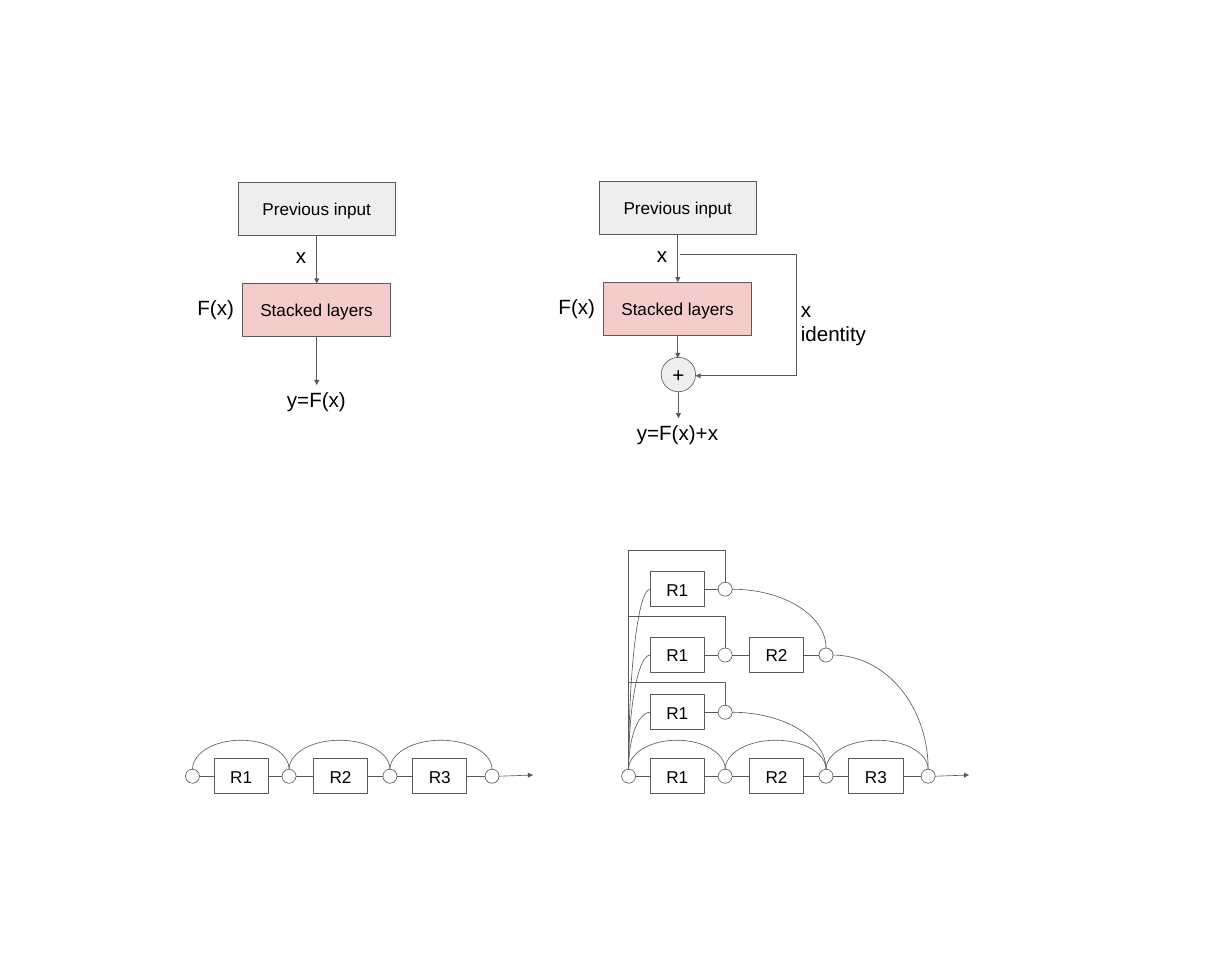
from lxml.etree import SubElement
from pptx import Presentation
from pptx.dml.color import RGBColor
from pptx.enum.shapes import MSO_CONNECTOR, MSO_SHAPE
from pptx.enum.text import MSO_ANCHOR, PP_ALIGN
from pptx.oxml.ns import qn
from pptx.util import Inches, Pt

BLACK = RGBColor(0x00, 0x00, 0x00)
WHITE = RGBColor(0xFF, 0xFF, 0xFF)
LINE_GRAY = RGBColor(0x59, 0x59, 0x59)
INPUT_GRAY = RGBColor(0xEE, 0xEE, 0xEE)
LAYER_PINK = RGBColor(0xF4, 0xCC, 0xCC)

BOX_SIZE, LABEL_SIZE = 20.1, 24.1

# Residual chain measures, relative to the centre of its first node
NODE_X = (0, 1.57, 3.21, 4.87)
NODE_RADIUS = 0.115
UNIT_LEFT, UNIT_STEP = 0.35, 1.615
UNIT_WIDTH, UNIT_HEIGHT = 0.88, 0.57
SKIP_HEIGHT = 0.47
CHAIN_Y = 12.62
CHAIN_TOP = CHAIN_Y - NODE_RADIUS


def set_attributes(target, values):
    for name, value in values.items():
        setattr(target, name, value)


class Diagram:
    def __init__(self, slide):
        self.slide = slide
        self.shapes = slide.shapes
        self.font_format = {"name": "Arial", "bold": False}
        self.frame_format = {"word_wrap": True}

    def style_line(self, shape, arrow=False):
        shape.line.color.rgb = LINE_GRAY
        shape.line.width = Pt(0.75)
        if arrow:
            line = shape._element.spPr.find(qn("a:ln"))
            SubElement(line, qn("a:tailEnd"), type="triangle")

    def set_text(self, shape, text, size, align, anchor, inset=0.2):
        frame = shape.text_frame
        sides = ("margin_left", "margin_top", "margin_right", "margin_bottom")
        set_attributes(frame, self.frame_format | dict.fromkeys(sides, Inches(inset)))
        frame.vertical_anchor = anchor
        frame.text = text
        for paragraph in frame.paragraphs:
            paragraph.alignment = align
            set_attributes(paragraph.font, self.font_format | {"size": Pt(size)})
            paragraph.font.color.rgb = BLACK

    def shape(self, kind, left, top, width, height, fill=None):
        shape = self.shapes.add_shape(
            kind, Inches(left), Inches(top), Inches(width), Inches(height))
        shape.shadow.inherit = False
        if fill is None:
            shape.fill.background()
        else:
            shape.fill.solid()
            shape.fill.fore_color.rgb = fill
        self.style_line(shape)
        return shape

    def box(self, text, left, top, width, height, fill=WHITE):
        shape = self.shape(MSO_SHAPE.RECTANGLE, left, top, width, height, fill)
        self.set_text(shape, text, BOX_SIZE, PP_ALIGN.CENTER, MSO_ANCHOR.MIDDLE)

    def circle(self, x, y, radius, fill=WHITE, text=None):
        shape = self.shape(MSO_SHAPE.OVAL, x - radius, y - radius,
                           2 * radius, 2 * radius, fill)
        if text:
            self.set_text(shape, text, LABEL_SIZE, PP_ALIGN.CENTER, MSO_ANCHOR.MIDDLE, 0)

    def label(self, text, left, top, width, height, align=PP_ALIGN.LEFT):
        shape = self.shapes.add_textbox(
            Inches(left), Inches(top), Inches(width), Inches(height))
        self.set_text(shape, text, LABEL_SIZE, align, MSO_ANCHOR.TOP)

    def line(self, x1, y1, x2, y2, arrow=False):
        connector = self.shapes.add_connector(
            MSO_CONNECTOR.STRAIGHT, Inches(x1), Inches(y1), Inches(x2), Inches(y2))
        self.style_line(connector, arrow)
        SubElement(connector._element.spPr, qn("a:effectLst"))

    def polyline(self, points, arrow=False):
        points = [(Inches(x), Inches(y)) for x, y in points]
        builder = self.shapes.build_freeform(*points[0])
        builder.add_line_segments(points[1:], close=False)
        shape = builder.convert_to_shape()
        shape.shadow.inherit = False
        shape.fill.background()
        self.style_line(shape, arrow)

    def arc(self, x, y, radius_x, radius_y, start, end):
        """Draw part of an ellipse around (x, y), in degrees clockwise from the right."""
        shape = self.shape(MSO_SHAPE.ARC, x - radius_x, y - radius_y,
                           2 * radius_x, 2 * radius_y)
        for index, angle in enumerate((start, end)):
            shape.adjustments[index] = angle * 0.6

    def block(self, center, top):
        """Previous input feeding the stacked layers."""
        self.box("Previous input", center - 1.27, top, 2.54, 0.86, INPUT_GRAY)
        self.line(center, top + 0.86, center, top + 1.64, arrow=True)
        self.box("Stacked layers", center - 1.21, top + 1.64, 2.41, 0.86, LAYER_PINK)
        self.label("x", center - 0.54, top + 0.78, 0.45, 1.08)
        self.label("F(x)", center - 2.14, top + 1.63, 1.97, 0.86)

    def row(self, origin, y, count, inlet=False):
        """Residual units R1, R2, ... each followed by a node."""
        for index in range(count):
            left = origin + UNIT_LEFT + UNIT_STEP * index
            node = origin + NODE_X[index + 1]
            if inlet or index:
                self.line(origin + NODE_X[index] + NODE_RADIUS, y, left, y)
            self.box(f"R{index + 1}", left, y - UNIT_HEIGHT / 2, UNIT_WIDTH, UNIT_HEIGHT)
            self.line(left + UNIT_WIDTH, y, node - NODE_RADIUS, y)
            self.circle(node, y, NODE_RADIUS)

    def chain(self, origin):
        """Full row with skip arcs and an output arrow."""
        self.circle(origin, CHAIN_Y, NODE_RADIUS)
        self.row(origin, CHAIN_Y, 3, inlet=True)
        for start, end in zip(NODE_X, NODE_X[1:]):
            self.arc(origin + (start + end) / 2, CHAIN_TOP,
                     (end - start) / 2, SKIP_HEIGHT, 180, 0)
        output = origin + NODE_X[-1] + NODE_RADIUS
        self.line(output, CHAIN_Y, output + 0.55, CHAIN_Y - 0.02, arrow=True)

    def branch(self, origin, y, count, bypass_top, target, target_y):
        """Unrolled path: curved feed, bent bypass and curved output."""
        self.row(origin, y, count)
        self.arc(origin + UNIT_LEFT, CHAIN_TOP, UNIT_LEFT, CHAIN_TOP - y, 180, 270)
        node = origin + NODE_X[1]
        self.polyline([(origin, CHAIN_TOP), (origin, bypass_top),
                       (node, bypass_top), (node, y - NODE_RADIUS)])
        start = origin + NODE_X[count] + NODE_RADIUS
        end = origin + NODE_X[target]
        height = target_y - NODE_RADIUS - y
        self.arc(start, y + height, end - start, height, 270, 0)


def main():
    presentation = Presentation()
    presentation.slide_width = Inches(20.03)
    presentation.slide_height = Inches(15.77)
    diagram = Diagram(presentation.slides.add_slide(presentation.slide_layouts[6]))

    # Plain block
    diagram.block(5.15, 2.97)
    diagram.line(5.15, 5.48, 5.15, 6.26, arrow=True)
    diagram.label("y=F(x)", 4.16, 6.09, 1.97, 0.86, PP_ALIGN.CENTER)

    # Residual block with identity shortcut
    diagram.block(11.02, 2.95)
    diagram.line(11.02, 5.46, 11.02, 5.82, arrow=True)
    diagram.circle(11.03, 6.09, 0.28, INPUT_GRAY, "+")
    diagram.line(11.03, 6.37, 11.03, 6.8, arrow=True)
    diagram.polyline([(11.05, 4.14), (12.95, 4.14), (12.95, 6.11), (11.31, 6.11)],
                     arrow=True)
    diagram.label("x\nidentity", 12.82, 4.62, 4.22, 1.08)
    diagram.label("y=F(x)+x", 10.03, 6.62, 1.97, 0.86, PP_ALIGN.CENTER)

    # Residual chain, compact and unrolled
    unrolled = 10.22
    for origin in (3.13, unrolled):
        diagram.chain(origin)
    for y, count, bypass_top, target, target_y in (
        (11.58, 1, 11.09, 2, CHAIN_Y),
        (10.65, 2, 10.02, 3, CHAIN_Y),
        (9.58, 1, 8.94, 2, 10.65),
    ):
        diagram.branch(unrolled, y, count, bypass_top, target, target_y)

    presentation.save("out.pptx")


if __name__ == "__main__":
    main()
